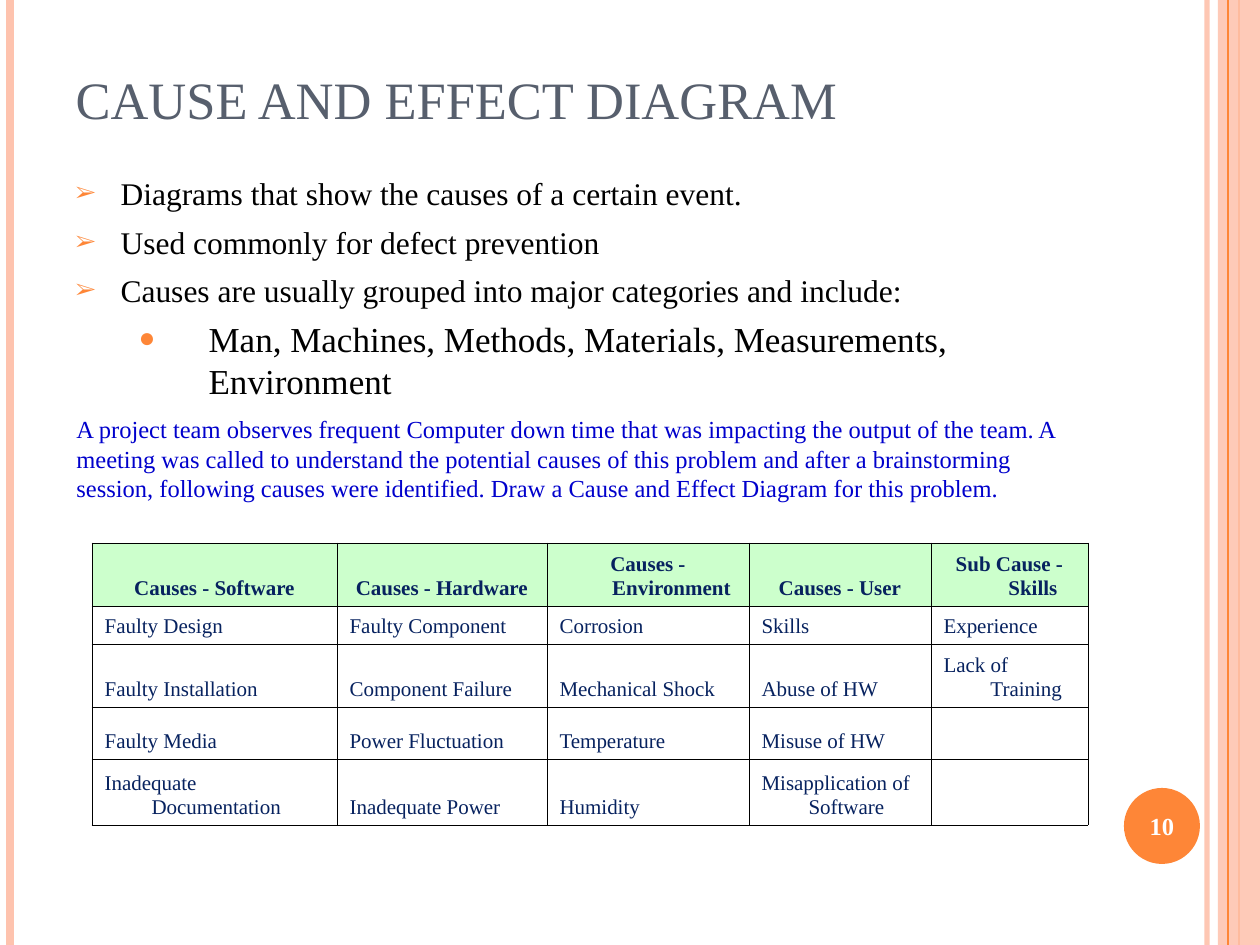
"""Build the cause and effect diagram slide with its table of causes."""
from lxml import etree
from pptx import Presentation, util as u
from pptx.dml.color import RGBColor
from pptx.enum import shapes, text
from pptx.oxml import ns

COLORS = {"white": "FFFFFF", "peach": "FEC3AE", "orange": "FE8637", "slate": "575F6D",
          "black": "000000", "blue": "0000CC", "navy": "07225F", "mint": "CCFFCC"}
FONT = "Times New Roman"
HEADING = "CAUSE AND EFFECT DIAGRAM"
POINTS = [
    (0, "Diagrams that show the causes of a certain event."),
    (0, "Used commonly for defect prevention"),
    (0, "Causes are usually grouped into major categories and include:"),
    (1, "Man, Machines, Methods, Materials, Measurements, Environment"),
]
LEVELS = [
    {"size": 18, "before": 6, "margin": 45, "hang": 45, "bullet": "➢", "percent": 70},
    {"size": 20, "before": 5, "margin": 133, "hang": 70, "bullet": "●", "percent": 80},
]
PROBLEM = ("A project team observes frequent Computer down time that was impacting the output "
           "of the team. A meeting was called to understand the potential causes of this problem "
           "and after a brainstorming session, following causes were identified. "
           "Draw a Cause and Effect Diagram for this problem.")
CAUSES = [
    ["Causes - Software", "Causes - Hardware", "Causes - Environment", "Causes - User",
     "Sub Cause - Skills"],
    ["Faulty Design", "Faulty Component", "Corrosion", "Skills", "Experience"],
    ["Faulty Installation", "Component Failure", "Mechanical Shock", "Abuse of HW",
     "Lack of Training"],
    ["Faulty Media", "Power Fluctuation", "Temperature", "Misuse of HW", ""],
    ["Inadequate Documentation", "Inadequate Power", "Humidity", "Misapplication of Software", ""],
]
COLUMN_WIDTHS = [245, 210, 202, 182, 157]
ROW_HEIGHTS = [63, 38, 63, 52, 66]
PAGE = "10"
WIDTH, HEIGHT = 1260, 945
OUTER_STRIPES = [(1207, "peach", 3, 93), (10, "peach", 4.5, 100), (1239, "orange", 1.5, 100)]
INNER_STRIPES = [(1228, "orange", 0.75, 100)]
BAND, BADGE = (1218, 0, 42, HEIGHT), (1124, 788, 76, 76)


def px(length):
    return u.Emu(round(length * 914400 / 126))


def box(*lengths):
    return [px(length) for length in lengths]


def rgb(name):
    return RGBColor.from_string(COLORS[name])


def add_xml(parent, tag, **attributes):
    return etree.SubElement(parent, ns.qn(tag), attributes)


def fade(color_format_owner, percent):
    for color in color_format_owner.iter(ns.qn("a:srgbClr")):
        add_xml(color, "a:alpha", val=str(percent * 1000))


def set_all(target, values):
    for name, value in values.items():
        setattr(target, name, value)


def write(paragraph, words, color, size, bold=False, **layout):
    set_all(paragraph, layout)
    run = paragraph.add_run()
    run.text = words
    set_all(run.font, {"name": FONT, "size": u.Pt(size), "bold": bold})
    run.font.color.rgb = rgb(color)


def indent(paragraph, margin, hang):
    properties = paragraph._p.get_or_add_pPr()
    properties.set("marL", str(px(margin)))
    properties.set("indent", str(-px(hang)))
    return properties


def place(shape, left, top, width, height):
    set_all(shape, dict(zip(("left", "top", "width", "height"), box(left, top, width, height))))


def frame_of(shape, anchor):
    set_all(shape.text_frame, {"word_wrap": True, "auto_size": text.MSO_AUTO_SIZE.NONE,
                               "vertical_anchor": anchor})
    return shape.text_frame


def add_stripes(slide, stripes):
    for x, color, weight, opacity in stripes:
        stripe = slide.shapes.add_connector(shapes.MSO_CONNECTOR.STRAIGHT, *box(x, 0, x, HEIGHT))
        stripe.line.color.rgb = rgb(color)
        stripe.line.width = u.Pt(weight)
        if opacity < 100:
            fade(stripe._element.spPr, opacity)
        add_xml(stripe._element.spPr, "a:effectLst")


def add_solid(slide, kind, bounds, color):
    solid = slide.shapes.add_shape(kind, *box(*bounds))
    solid.shadow.inherit = False
    solid.fill.solid()
    solid.fill.fore_color.rgb = rgb(color)
    solid.line.fill.background()
    return solid


def add_decoration(slide):
    add_stripes(slide, OUTER_STRIPES)
    band = add_solid(slide, shapes.MSO_SHAPE.RECTANGLE, BAND, "peach")
    fade(band._element.spPr, 87)
    add_stripes(slide, INNER_STRIPES)
    add_solid(slide, shapes.MSO_SHAPE.OVAL, BADGE, "orange")


def add_points(body):
    frame = frame_of(body, text.MSO_ANCHOR.TOP)
    for index, (depth, words) in enumerate(POINTS):
        level = LEVELS[depth]
        point = frame.add_paragraph() if index else frame.paragraphs[0]
        write(point, words, "black", level["size"], level=depth,
              space_before=u.Pt(level["before"] if index else 0))
        properties = indent(point, level["margin"], level["hang"])
        add_xml(add_xml(properties, "a:buClr"), "a:srgbClr", val=COLORS["orange"])
        add_xml(properties, "a:buSzPct", val=str(level["percent"] * 1000))
        add_xml(properties, "a:buFont", typeface=FONT)
        add_xml(properties, "a:buChar", char=level["bullet"])


def add_label(slide, bounds, anchor, words, color, **layout):
    label = slide.shapes.add_textbox(*box(*bounds))
    write(frame_of(label, anchor).paragraphs[0], words, color, 14, **layout)


def outline(cell):
    properties = cell._tc.get_or_add_tcPr()
    for index, side in enumerate(("a:lnL", "a:lnR", "a:lnT", "a:lnB")):
        border = etree.Element(ns.qn(side), w=str(u.Pt(0.45)))
        add_xml(add_xml(border, "a:solidFill"), "a:srgbClr", val=COLORS["black"])
        properties.insert(index, border)


def add_causes(slide):
    bounds = box(92, 543, sum(COLUMN_WIDTHS), sum(ROW_HEIGHTS))
    causes = slide.shapes.add_table(len(CAUSES), len(COLUMN_WIDTHS), *bounds).table
    for column, width in zip(causes.columns, COLUMN_WIDTHS):
        column.width = px(width)
    for row, height, entries in zip(causes.rows, ROW_HEIGHTS, CAUSES):
        row.height = px(height)
        header = entries is CAUSES[0]
        for cell, words in zip(row.cells, entries):
            cell.vertical_anchor = text.MSO_ANCHOR.BOTTOM
            if header:
                cell.fill.solid()
                cell.fill.fore_color.rgb = rgb("mint")
            else:
                cell.fill.background()
            outline(cell)
            if words:
                entry = cell.text_frame.paragraphs[0]
                write(entry, words, "navy", 12, header,
                      alignment=text.PP_ALIGN.CENTER if header else text.PP_ALIGN.LEFT)
                indent(entry, 47, 47)


def main():
    deck = Presentation()
    set_all(deck, {"slide_width": px(WIDTH), "slide_height": px(HEIGHT)})
    slide = deck.slides.add_slide(deck.slide_layouts[1])
    slide.background.fill.solid()
    slide.background.fill.fore_color.rgb = rgb("white")
    add_decoration(slide)
    heading, body = slide.placeholders
    place(heading, 63, 38, 1029, 98)
    write(frame_of(heading, text.MSO_ANCHOR.BOTTOM).paragraphs[0], HEADING, "slate", 30,
          alignment=text.PP_ALIGN.LEFT)
    place(body, 63, 168, 1029, 725)
    add_points(body)
    add_label(slide, (1120, 790, 84, 72), text.MSO_ANCHOR.MIDDLE, PAGE, "white", bold=True,
              alignment=text.PP_ALIGN.CENTER)
    add_label(slide, (64, 408, 1023, 131), text.MSO_ANCHOR.TOP, PROBLEM, "blue")
    add_causes(slide)
    deck.save("out.pptx")


if __name__ == "__main__":
    main()
